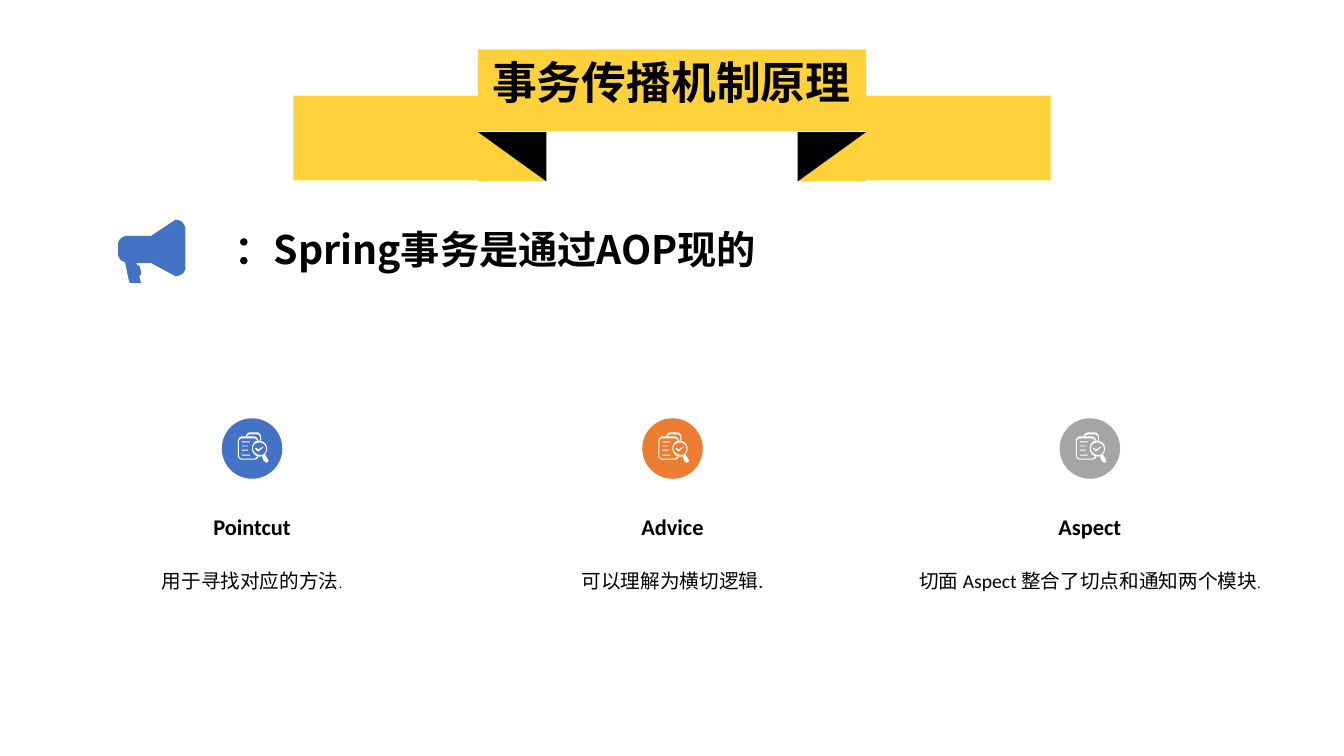
from dataclasses import dataclass

import lxml.etree
import pptx
import pptx.dml.color
import pptx.enum.shapes
import pptx.enum.text
import pptx.oxml.ns
import pptx.util

Inches = pptx.util.Inches
SHAPE = pptx.enum.shapes.MSO_SHAPE
ALIGN = pptx.enum.text.PP_ALIGN
ANCHOR = pptx.enum.text.MSO_ANCHOR

COLORS = {"yellow": "FFD23C", "black": "000000", "white": "FFFFFF",
          "blue": "4472C4", "orange": "ED7D31", "gray": "A5A5A5"}
CJK = "Noto Sans CJK SC"
LATIN = "Calibri"

# Outlines in hundredths of an inch: M moves, L draws a line, C a Bezier curve
MEGAPHONE = """M 7 42 L 11 61 C 11 61 11 63 15 63 L 23 63 L 21 56 C 22 56 23 54 23 53
L 22 47 C 21 46 20 45 19 45 L 18 43 L 33 43 L 57 56 C 63 56 67 52 67 47 L 67 10
C 67 5 63 0 57 0 L 33 16 L 10 16 C 4 16 0 20 0 25 L 0 33 C 0 38 3 41 7 42"""
CHECKLIST = """M 19 24 L 20 24 C 20 26 18 27 16 27 L 4 27 C 2 27 0 25 0 23 L 0 9
C 0 6 2 4 4 4 L 8 4 C 8 2 10 0 12 0 L 19 0 C 21 0 23 2 23 5 L 23 8 L 22 8 L 22 5
C 22 3 20 2 19 2 L 12 2 C 11 2 9 3 9 4 L 16 4 C 18 4 20 6 20 8 L 19 8
C 19 7 18 6 16 6 L 4 6 C 3 6 1 7 1 9 L 1 23 C 1 25 3 26 4 26 L 16 26 C 17 26 18 25 19 24
M 25 23 C 22 25 17 24 15 20 C 13 16 14 12 17 9 C 21 7 26 9 28 12 C 30 16 29 21 25 23
M 25 22 C 28 20 29 16 27 13 C 25 10 21 9 18 11 C 15 12 14 16 16 19 C 18 22 22 23 25 22
M 27 22 L 24 24 L 26 29 L 30 27
M 30 27 L 27 29 C 27 30 28 30 29 30 C 30 29 31 28 30 27
M 12 9 L 4 9 L 4 10 L 12 10 M 10 13 L 4 13 L 4 14 L 10 14
M 10 17 L 4 17 L 4 18 L 10 18 M 12 22 L 4 22 L 4 23 L 12 23
M 20 17 L 18 15 L 17 16 L 20 19 L 25 15 L 25 14"""


@dataclass
class Run:
    text: str
    size: float
    font: str = LATIN
    bold: bool = False


@dataclass
class Block:
    kind: SHAPE
    left: float
    top: float
    width: float
    height: float
    color: str
    rotation: float = 0
    flip: bool = False


@dataclass
class Concept:
    left: float
    name: str
    detail: list[Run]
    color: str


RIBBON = [
    Block(SHAPE.RIGHT_TRIANGLE, 7.91, 1.31, 0.68, 0.49, "yellow", flip=True),
    Block(SHAPE.RIGHT_TRIANGLE, 7.91, 1.31, 0.68, 0.49, "black", 180, True),
    Block(SHAPE.RECTANGLE, 4.74, 0.49, 3.85, 0.81, "yellow"),
    Block(SHAPE.RIGHT_TRIANGLE, 4.74, 1.31, 0.68, 0.49, "yellow"),
    Block(SHAPE.RIGHT_TRIANGLE, 4.74, 1.31, 0.68, 0.49, "black", 180),
    Block(SHAPE.RECTANGLE, 2.91, 0.95, 1.83, 0.84, "yellow"),
    Block(SHAPE.RECTANGLE, 8.59, 0.95, 1.83, 0.84, "yellow"),
]
CONCEPTS = [
    Concept(0.55, "Pointcut", [Run("用于寻找对应的方法", 14), Run(".", 10)], "blue"),
    Concept(4.72, "Advice", [Run("可以理解为横切逻辑.", 14)], "orange"),
    Concept(8.86, "Aspect",
            [Run("切面 Aspect 整合了切点和通知两个模块", 14), Run(".", 10)], "gray"),
]


def rgb(name: str) -> pptx.dml.color.RGBColor:
    return pptx.dml.color.RGBColor.from_string(COLORS[name])


def paint(sp, color: str) -> None:
    sp.shadow.inherit = False
    sp.fill.solid()
    sp.fill.fore_color.rgb = rgb(color)
    sp.line.fill.background()


def add_block(shapes, b: Block) -> None:
    sp = shapes.add_shape(b.kind, Inches(b.left), Inches(b.top),
                          Inches(b.width), Inches(b.height))
    paint(sp, b.color)
    sp.rotation = b.rotation
    if b.flip:
        sp.element.spPr.find(pptx.oxml.ns.qn("a:xfrm")).set("flipH", "1")


def contour_points(contour: str, left: float, top: float) -> list[tuple[int, int]]:
    """Turn one contour into points, with each curve cut into eight steps."""
    pts: list[tuple[float, float]] = []
    for step in contour.replace("L", "|L").replace("C", "|C").split("|"):
        nums = [float(n) for n in step.strip("LC \n").split()]
        ends = list(zip(nums[::2], nums[1::2]))
        if len(ends) == 1:
            pts += ends
            continue
        curve = [pts[-1], *ends]
        for i in range(1, 9):
            t = i / 8
            weights = ((1 - t) ** 3, 3 * t * (1 - t) ** 2, 3 * t * t * (1 - t), t ** 3)
            pts.append((sum(w * x for w, (x, _) in zip(weights, curve)),
                        sum(w * y for w, (_, y) in zip(weights, curve))))
    return [(Inches(left + x / 100), Inches(top + y / 100)) for x, y in pts]


def add_outline(shapes, outline: str, left: float, top: float, color: str) -> None:
    contours = [contour_points(c, left, top) for c in outline.split("M")[1:]]
    builder = shapes.build_freeform(*contours[0][0])
    for i, pts in enumerate(contours):
        if i:
            builder.move_to(*pts[0])
        builder.add_line_segments(pts[1:], close=True)
    paint(builder.convert_to_shape(), color)


def write(sp, runs: list[Run], align: ALIGN, spacing: float,
          anchor: ANCHOR = ANCHOR.MIDDLE, wrap: bool = True) -> None:
    tf = sp.text_frame
    tf.auto_size = pptx.enum.text.MSO_AUTO_SIZE.NONE
    tf.word_wrap = wrap
    tf.vertical_anchor = anchor
    p = tf.paragraphs[0]
    p.alignment = align
    p.line_spacing = spacing
    for run in runs:
        r = p.add_run()
        r.text = run.text
        r.font.size = pptx.util.Pt(run.size)
        r.font.bold = run.bold
        r.font.name = run.font
        r.font.color.rgb = rgb("black")
        ea = lxml.etree.SubElement(r.font._element, pptx.oxml.ns.qn("a:ea"))
        ea.set("typeface", CJK)


def add_text(shapes, left: float, top: float, width: float, height: float):
    return shapes.add_textbox(Inches(left), Inches(top), Inches(width), Inches(height))


def add_concept(shapes, c: Concept) -> None:
    write(add_text(shapes, c.left, 5.48, 3.9, 0.97), c.detail, ALIGN.CENTER, 1.5, ANCHOR.TOP)
    write(add_text(shapes, c.left, 4.96, 3.9, 0.52), [Run(c.name, 16, bold=True)],
          ALIGN.CENTER, 1.0, wrap=False)
    add_block(shapes, Block(SHAPE.OVAL, c.left + 1.65, 4.15, 0.6, 0.6, c.color))
    add_outline(shapes, CHECKLIST, c.left + 1.81, 4.29, "white")


def main() -> None:
    prs = pptx.Presentation()
    prs.slide_width, prs.slide_height = Inches(13.33), Inches(7.5)
    s = prs.slides.add_slide(prs.slide_layouts[5])
    title = s.shapes.title

    # Ribbon behind the title
    ribbon = s.shapes.add_group_shape()
    for block in RIBBON:
        add_block(ribbon.shapes, block)
    title.element.addprevious(ribbon.element)

    # Title
    title.left, title.top = Inches(4.78), Inches(0.41)
    title.width, title.height = Inches(3.78), Inches(0.86)
    write(title, [Run("事务传播机制原理", 32, CJK, True)], ALIGN.LEFT, 0.9)

    # Key statement
    add_outline(s.shapes, MEGAPHONE, 1.17, 2.18, "blue")
    write(add_text(s.shapes, 2.23, 2.07, 7.97, 0.86),
          [Run("：Spring事务是通过AOP现的", 28, CJK, True)], ALIGN.LEFT, 0.9)

    # Three AOP concepts
    for concept in CONCEPTS:
        add_concept(s.shapes, concept)

    prs.save("out.pptx")


if __name__ == "__main__":
    main()
